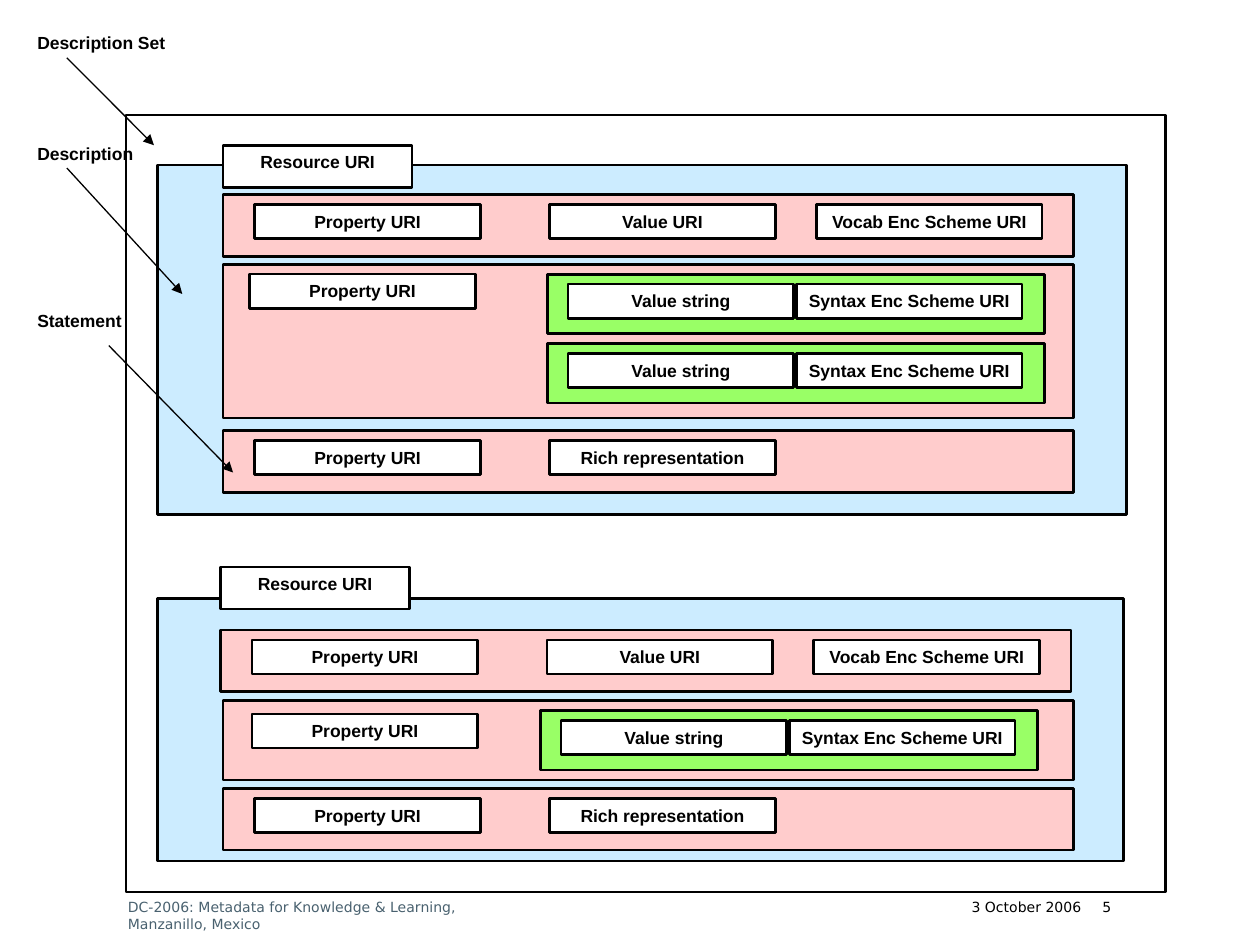
from lxml.etree import SubElement
from pptx import Presentation
from pptx.dml.color import RGBColor
from pptx.enum.shapes import MSO_CONNECTOR, MSO_SHAPE
from pptx.enum.text import MSO_ANCHOR, PP_ALIGN
from pptx.oxml.ns import qn
from pptx.util import Pt

BLACK = RGBColor(0x00, 0x00, 0x00)
WHITE = RGBColor(0xFF, 0xFF, 0xFF)
BLUE = RGBColor(0xCC, 0xEC, 0xFF)
PINK = RGBColor(0xFF, 0xCC, 0xCC)
GREEN = RGBColor(0x99, 0xFF, 0x66)
SLATE = RGBColor(0x49, 0x61, 0x6F)

FIELD_WIDTH, FIELD_HEIGHT = 129, 19.5
STATEMENT_WIDTH, STATEMENT_HEIGHT = 486, 35.3
FIELD_OFFSETS = (18, 186.5, 339)
PADDING = 5.7


def write(shape, text, size, font, color, align, insets):
    """Put one formatted paragraph at the top of a shape."""
    frame = shape.text_frame
    frame.word_wrap = True
    frame.vertical_anchor = MSO_ANCHOR.TOP
    frame.margin_left, frame.margin_top, frame.margin_right, frame.margin_bottom = map(Pt, insets)
    para = frame.paragraphs[0]
    para.text = text
    para.alignment = align
    para.font.size = Pt(size)
    para.font.name = font
    para.font.bold = font == "Arial"
    para.font.color.rgb = color


def add_box(page, left, top, width, height, fill=None, text=None):
    """Add an outlined rectangle, with a centred caption if given."""
    box = page.shapes.add_shape(MSO_SHAPE.RECTANGLE, Pt(left), Pt(top), Pt(width), Pt(height))
    box.shadow.inherit = False
    if fill is None:
        box.fill.background()
    else:
        box.fill.solid()
        box.fill.fore_color.rgb = fill
    box.line.color.rgb = BLACK
    box.line.width = Pt(1.5)
    if text:
        write(box, text, 10, "Arial", BLACK, PP_ALIGN.CENTER, (PADDING, 3.6, PADDING, 3.6))


def add_field(page, left, top, text):
    add_box(page, left, top, FIELD_WIDTH, FIELD_HEIGHT, WHITE, text)


def add_description(page, top, width, height, resource_left, resource_top):
    """Add a blue description with its resource tab."""
    add_box(page, 90, top, width, height, BLUE)
    add_box(page, resource_left, resource_top, 108, 24, WHITE, "Resource URI")


def add_statement(page, left, top, *fields):
    """Add a pink statement holding a row of fields."""
    add_box(page, left, top, STATEMENT_WIDTH, STATEMENT_HEIGHT, PINK)
    for offset, text in zip(FIELD_OFFSETS, fields):
        add_field(page, left + offset, top + PADDING, text)


def add_string_statement(page, top, height, field_left, field_top, string_left, string_tops):
    """Add a pink statement whose values are green value strings."""
    add_box(page, 127.5, top, STATEMENT_WIDTH, height, PINK)
    add_field(page, field_left, field_top, "Property URI")
    for string_top in string_tops:
        add_box(page, string_left, string_top, 284, 34, GREEN)
        add_field(page, string_left + 11.5, string_top + PADDING, "Value string")
        add_field(page, string_left + 142, string_top + PADDING, "Syntax Enc Scheme URI")


def add_text(page, left, top, width, text, size=10, font="Arial", color=BLACK,
             align=PP_ALIGN.LEFT, insets=(7.2, 3.6, 7.2, 3.6)):
    box = page.shapes.add_textbox(Pt(left), Pt(top), Pt(width), Pt(18))
    write(box, text, size, font, color, align, insets)


def add_arrow(page, start, end):
    points = [Pt(value) for value in (*start, *end)]
    arrow = page.shapes.add_connector(MSO_CONNECTOR.STRAIGHT, *points)
    arrow.line.color.rgb = BLACK
    arrow.line.width = Pt(0.75)
    SubElement(arrow.line._get_or_add_ln(), qn("a:tailEnd"), type="triangle")
    SubElement(arrow._element.spPr, qn("a:effectLst"))


def add_footer(page, left, width, text, color, align, insets):
    add_text(page, left, 513.4, width, text, 8, "DejaVu Sans", color, align, insets)


def main():
    deck = Presentation()
    deck.slide_width, deck.slide_height = Pt(720), Pt(540)
    page = deck.slides.add_slide(deck.slide_layouts[6])

    # Description set
    add_box(page, 72, 65.8, 594, 444)

    # First description
    add_description(page, 94.3, 553.7, 199.7, 127.5, 83)
    add_statement(page, 127.5, 111.3, "Property URI", "Value URI", "Vocab Enc Scheme URI")
    add_string_statement(page, 151, 88, 142.6, 156.7, 313, (156.7, 196.4))
    add_statement(page, 127.5, 246, "Property URI", "Rich representation")

    # Second description
    add_description(page, 342, 552.2, 150, 126, 324)
    add_statement(page, 126, 360, "Property URI", "Value URI", "Vocab Enc Scheme URI")
    add_string_statement(page, 400.3, 45.4, 144, 408, 309, (406,))
    add_statement(page, 127.5, 450.5, "Property URI", "Rich representation")

    # Labels and their arrows
    labels = (
        ("Statement", 173.5, 75.6, (62.2, 197.5), (133.2, 270)),
        ("Description", 78, 96, (38.2, 96), (104.2, 168)),
        ("Description Set", 15, 96, (38.2, 33), (88, 83)),
    )
    for text, top, width, start, end in labels:
        add_text(page, 14.2, top, width, text)
        add_arrow(page, start, end)

    # Footer
    add_footer(page, 66, 228, "DC-2006: Metadata for Knowledge & Learning, Manzanillo, Mexico",
               SLATE, PP_ALIGN.LEFT, (7.2, 0, 7.2, 3.6))
    add_footer(page, 630, 66, "5", BLACK, PP_ALIGN.LEFT, (0, 0, 7.2, 3.6))
    add_footer(page, 522, 96, "3 October 2006", BLACK, PP_ALIGN.RIGHT, (7.2, 0, 0, 3.6))

    deck.save("out.pptx")


if __name__ == "__main__":
    main()
